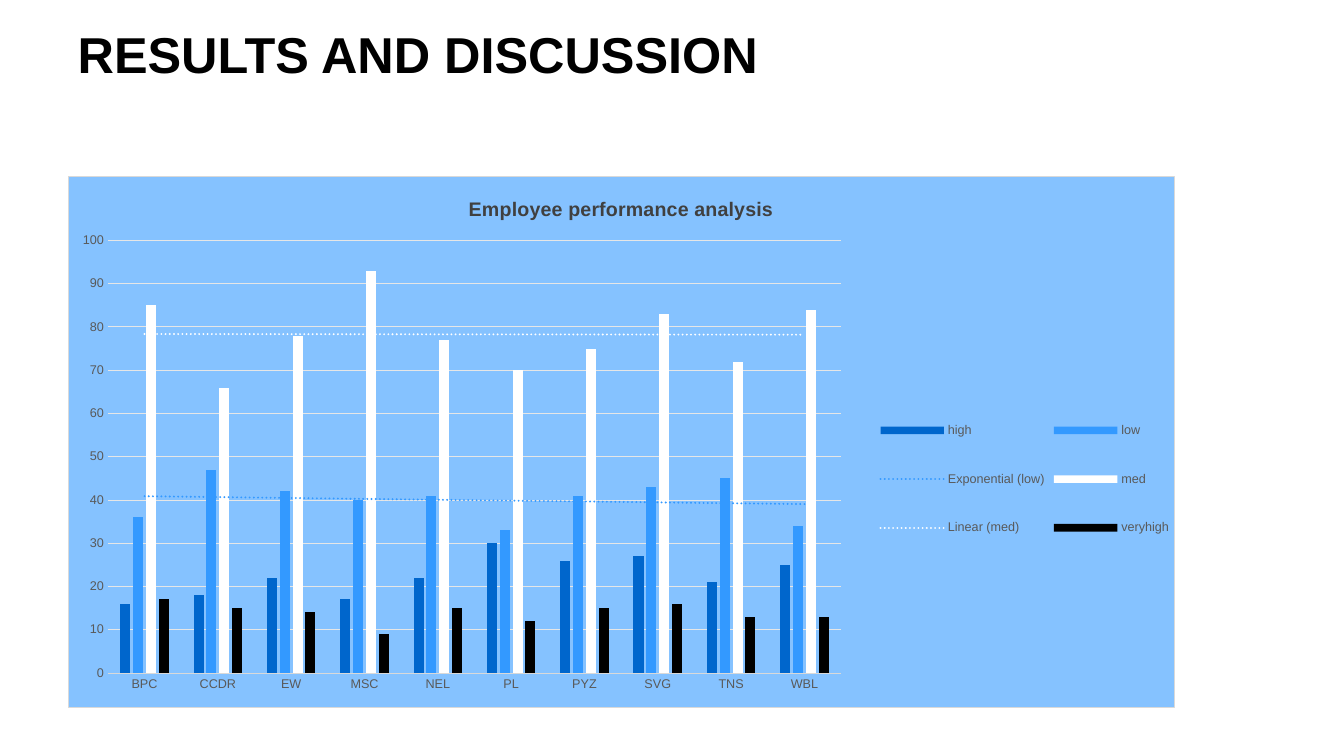
from lxml.etree import fromstring
from pptx import Presentation
from pptx.chart.data import CategoryChartData
from pptx.dml.color import RGBColor
from pptx.enum.chart import XL_CHART_TYPE, XL_LEGEND_POSITION, XL_TICK_MARK
from pptx.enum.text import MSO_ANCHOR, PP_ALIGN
from pptx.oxml.ns import nsdecls, qn
from pptx.util import Pt

TITLE = "RESULTS AND DISCUSSION"
CHART_TITLE = "Employee performance analysis"
UNITS = ["BPC", "CCDR", "EW", "MSC", "NEL", "PL", "PYZ", "SVG", "TNS", "WBL"]

BLACK = RGBColor(0x00, 0x00, 0x00)
WHITE = RGBColor(0xFF, 0xFF, 0xFF)
DEEP_BLUE = RGBColor(0x00, 0x66, 0xCC)
BLUE = RGBColor(0x33, 0x99, 0xFF)
PALE_BLUE = RGBColor(0x85, 0xC2, 0xFF)
HEADING = RGBColor(0x40, 0x40, 0x40)
LABEL = RGBColor(0x59, 0x59, 0x59)
BORDER = RGBColor(0xD9, 0xD9, 0xD9)
GRID = RGBColor(0xE6, 0xE6, 0xE6)

RATINGS = [
    ("high", DEEP_BLUE, None, [16, 18, 22, 17, 22, 30, 26, 27, 21, 25]),
    ("low", BLUE, "exp", [36, 47, 42, 40, 41, 33, 41, 43, 45, 34]),
    ("med", WHITE, "linear", [85, 66, 78, 93, 77, 70, 75, 83, 72, 84]),
    ("veryhigh", BLACK, None, [17, 15, 14, 9, 15, 12, 15, 16, 13, 13]),
]

PX = 9144
SLIDE_SIZE = (1333, 750)
TITLE_BOX = (67, 21, 1200, 64)
CHART_BOX = (67, 175, 1098, 527)
PLOT_BOX = (0.036, 0.12, 0.663, 0.816)
LEGEND_BOX = (0.73, 0.4, 0.27, 0.34)


def emu(lengths):
    return [n * PX for n in lengths]


def element(xml):
    return fromstring(xml.replace(">", f" {nsdecls('c', 'a')}>", 1))


def set_font(font, size, color, bold=False):
    font.name = "Arial"
    font.size = Pt(size)
    font.bold = bold
    font.color.rgb = color


def layout(box, target=""):
    sides = zip("xywh", box)
    values = "".join(f'<c:{k} val="{v}"/>' for k, v in sides)
    return element(
        f"<c:layout><c:manualLayout>{target}"
        '<c:xMode val="edge"/><c:yMode val="edge"/>'
        f"{values}</c:manualLayout></c:layout>"
    )


def trendline(kind, color):
    return element(
        '<c:trendline><c:spPr><a:ln w="19050" cap="rnd">'
        f'<a:solidFill><a:srgbClr val="{color}"/></a:solidFill>'
        '<a:prstDash val="sysDot"/></a:ln></c:spPr>'
        f'<c:trendlineType val="{kind}"/>'
        '<c:dispRSqr val="0"/><c:dispEq val="0"/></c:trendline>'
    )


def chart_area(fill, border):
    return element(
        f'<c:spPr><a:solidFill><a:srgbClr val="{fill}"/></a:solidFill>'
        f'<a:ln w="9525"><a:solidFill><a:srgbClr val="{border}"/>'
        "</a:solidFill></a:ln></c:spPr>"
    )


def add_title(s):
    title = s.shapes.title
    title.left, title.top, title.width, title.height = emu(TITLE_BOX)
    tf = title.text_frame
    tf.text = TITLE
    tf.vertical_anchor = MSO_ANCHOR.MIDDLE
    p = tf.paragraphs[0]
    p.alignment = PP_ALIGN.LEFT
    set_font(p.font, 36, BLACK, True)


def style_axes(chart):
    for axis in (chart.category_axis, chart.value_axis):
        axis.major_tick_mark = axis.minor_tick_mark = XL_TICK_MARK.NONE
        set_font(axis.tick_labels.font, 9, LABEL)
    line = chart.category_axis.format.line
    line.color.rgb = BORDER
    line.width = Pt(0.75)
    values = chart.value_axis
    values.minimum_scale, values.maximum_scale = 0, 100
    values.major_unit = 10
    values.format.line.fill.background()
    grid = values.major_gridlines.format.line
    grid.color.rgb = GRID
    grid.width = Pt(0.75)


def add_chart(s):
    data = CategoryChartData()
    data.categories = UNITS
    for name, _, _, values in RATINGS:
        data.add_series(name, values)
    chart = s.shapes.add_chart(
        XL_CHART_TYPE.COLUMN_CLUSTERED, *emu(CHART_BOX), data
    ).chart
    set_font(chart.font, 10, BLACK)

    chart.has_title = True
    chart.chart_title.include_in_layout = False
    p = chart.chart_title.text_frame.paragraphs[0]
    p.text = CHART_TITLE
    set_font(p.font, 14, HEADING, True)

    style_axes(chart)
    plot = chart.plots[0]
    plot.vary_by_categories = False
    plot.gap_width = 246
    plot.overlap = -28
    for series, (_, color, trend, _) in zip(plot.series, RATINGS):
        series.format.fill.solid()
        series.format.fill.fore_color.rgb = color
        series.invert_if_negative = False
        if trend:
            cat = series._element.find(qn("c:cat"))
            cat.addprevious(trendline(trend, color))

    chart.has_legend = True
    legend = chart.legend
    legend.position = XL_LEGEND_POSITION.RIGHT
    legend.include_in_layout = False
    set_font(legend.font, 9, LABEL)
    overlay = legend._element.find(qn("c:overlay"))
    overlay.addprevious(layout(LEGEND_BOX))

    space = chart._chartSpace
    area = space.chart.plotArea
    for old in area.findall(qn("c:layout")):
        area.remove(old)
    area.insert(0, layout(PLOT_BOX, '<c:layoutTarget val="inner"/>'))
    space.chart.addnext(chart_area(PALE_BLUE, BORDER))


def main():
    prs = Presentation()
    prs.slide_width, prs.slide_height = emu(SLIDE_SIZE)
    s = prs.slides.add_slide(prs.slide_layouts[5])
    add_title(s)
    add_chart(s)
    prs.save("out.pptx")


if __name__ == "__main__":
    main()
